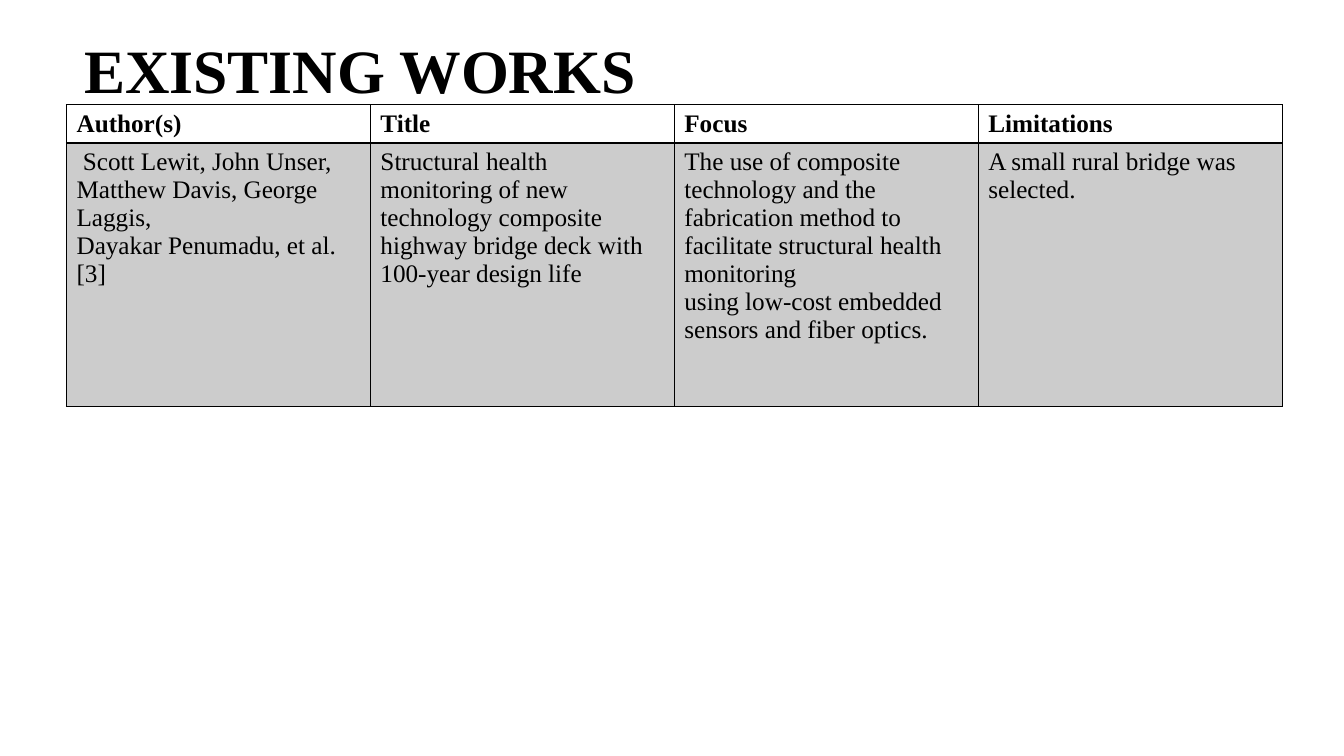
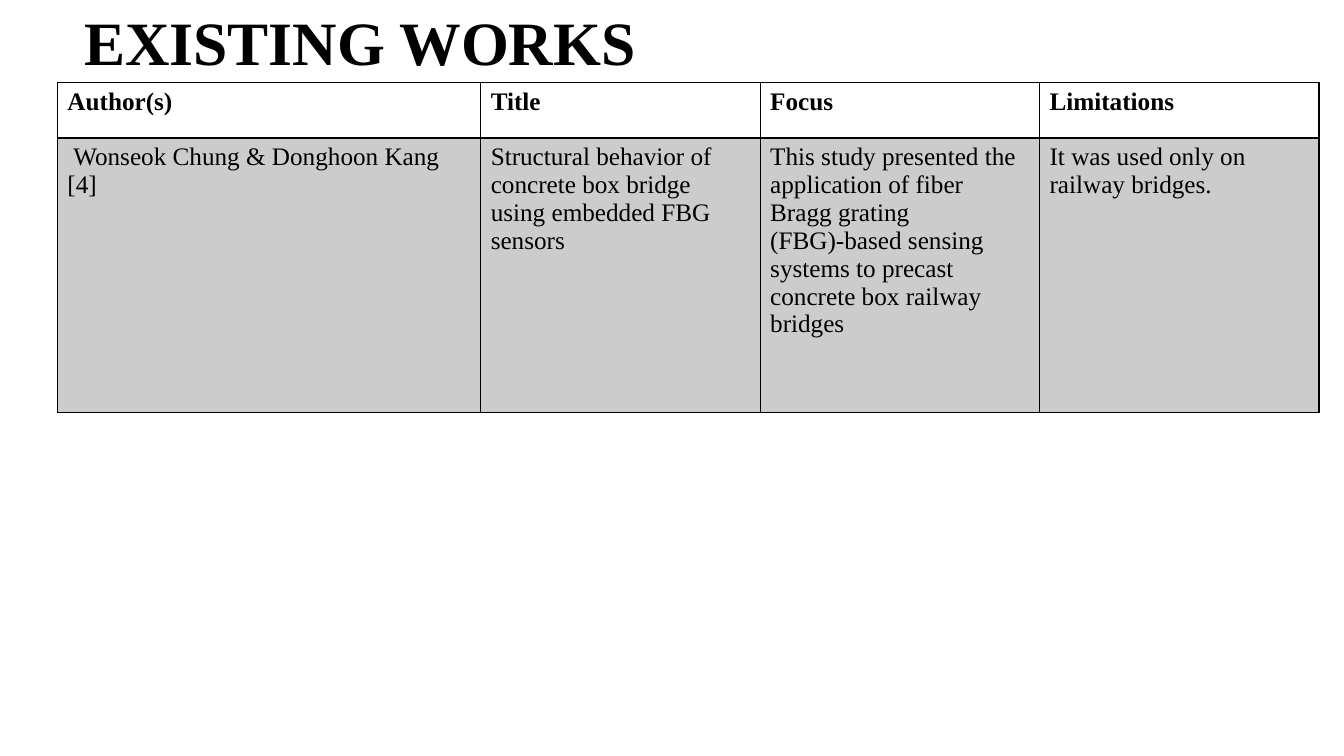
from dataclasses import dataclass

from lxml import etree
from pptx import Presentation
from pptx.dml import color
from pptx.enum import text
from pptx.oxml import ns
from pptx.util import Pt

INK = {"text": "000000", "line": "000000", "shade": "000000"}
FONT = "Times New Roman"
TITLE = "EXISTING WORKS"
HEADS = ("Author(s)", "Title", "Focus", "Limitations")
SHADE = 20
THIN, THICK = 1, 2


@dataclass(frozen=True)
class Work:
    tall: float
    left: float
    top: float
    cols: tuple[float, ...]
    rows: tuple[float, float]
    cells: tuple[tuple[str, ...], ...]


WORKS = (
    Work(
        104.4, 47.5, 74.9, (217.1,) * 4, (27.4, 188),
        (
            (" Scott Lewit, John Unser, Matthew Davis, George Laggis,",
             "Dayakar Penumadu, et al. [3]"),
            ("Structural health monitoring of new technology composite "
             "highway bridge deck with 100-year design life",),
            ("The use of composite technology and the fabrication method to "
             "facilitate structural health monitoring",
             "using low-cost embedded sensors and fiber optics."),
            ("A small rural bridge was selected.",),
        ),
    ),
    Work(
        65.5, 41, 59, (302.4,) + (199.6,) * 3, (39.6, 195.8),
        (
            (" Wonseok Chung & Donghoon Kang [4]",),
            ("Structural behavior of concrete box bridge using embedded "
             "FBG sensors",),
            ("This study presented the application of fiber Bragg grating",
             "(FBG)-based sensing systems to precast concrete box railway "
             "bridges"),
            ("It was used only on railway bridges.",),
        ),
    ),
)


def add_run(para, words: str, size: float, bold: bool) -> None:
    run = para.add_run()
    run.text = words
    font = run.font
    font.name = FONT
    font.size = Pt(size)
    font.bold = bold
    font.color.rgb = color.RGBColor.from_string(INK["text"])


def add_title(slide, tall: float) -> None:
    title = slide.shapes.title
    title.left, title.top = Pt(52.8), Pt(0)
    title.width, title.height = Pt(828), Pt(tall)
    frame = title.text_frame
    frame.word_wrap = True
    frame.auto_size = text.MSO_AUTO_SIZE.NONE
    frame.vertical_anchor = text.MSO_ANCHOR.MIDDLE
    para = frame.paragraphs[0]
    para.alignment = text.PP_ALIGN.LEFT
    para.line_spacing = 0.9
    add_run(para, TITLE, 44, True)


def set_lines(cell, top: float, base: float) -> None:
    props = cell._tc.get_or_add_tcPr()
    sides = (("lnL", THIN), ("lnR", THIN), ("lnT", top), ("lnB", base))
    for spot, (tag, width) in enumerate(sides):
        line = etree.Element(ns.qn(f"a:{tag}"), w=str(Pt(width)))
        fill = etree.SubElement(line, ns.qn("a:solidFill"))
        etree.SubElement(fill, ns.qn("a:srgbClr"), val=INK["line"])
        props.insert(spot, line)


def set_shade(cell) -> None:
    cell.fill.solid()
    cell.fill.fore_color.rgb = color.RGBColor.from_string(INK["shade"])
    tint = cell._tc.tcPr.find(".//" + ns.qn("a:srgbClr"))
    etree.SubElement(tint, ns.qn("a:alpha"), val=str(SHADE * 1000))


def fill_cell(cell, lines: tuple[str, ...], head: bool) -> None:
    frame = cell.text_frame
    for spot, words in enumerate(lines):
        para = frame.add_paragraph() if spot else frame.paragraphs[0]
        add_run(para, words, 18, head)
    if head:
        cell.fill.background()
        set_lines(cell, THIN, THICK)
    else:
        set_shade(cell)
        set_lines(cell, THICK, THIN)


def add_grid(slide, work: Work) -> None:
    grid = slide.shapes.add_table(
        len(work.rows), len(work.cols), Pt(work.left), Pt(work.top),
        Pt(sum(work.cols)), Pt(sum(work.rows)),
    ).table
    grid.first_row = False
    grid.horz_banding = False
    for col, width in zip(grid.columns, work.cols):
        col.width = Pt(width)
    for row, height in zip(grid.rows, work.rows):
        row.height = Pt(height)
    for spot, (head, body) in enumerate(zip(HEADS, work.cells)):
        fill_cell(grid.cell(0, spot), (head,), True)
        fill_cell(grid.cell(1, spot), body, False)


def main() -> None:
    deck = Presentation()
    deck.slide_width, deck.slide_height = Pt(960), Pt(540)
    for work in WORKS:
        slide = deck.slides.add_slide(deck.slide_layouts[5])
        add_title(slide, work.tall)
        add_grid(slide, work)
    deck.save("out.pptx")


if __name__ == "__main__":
    main()
